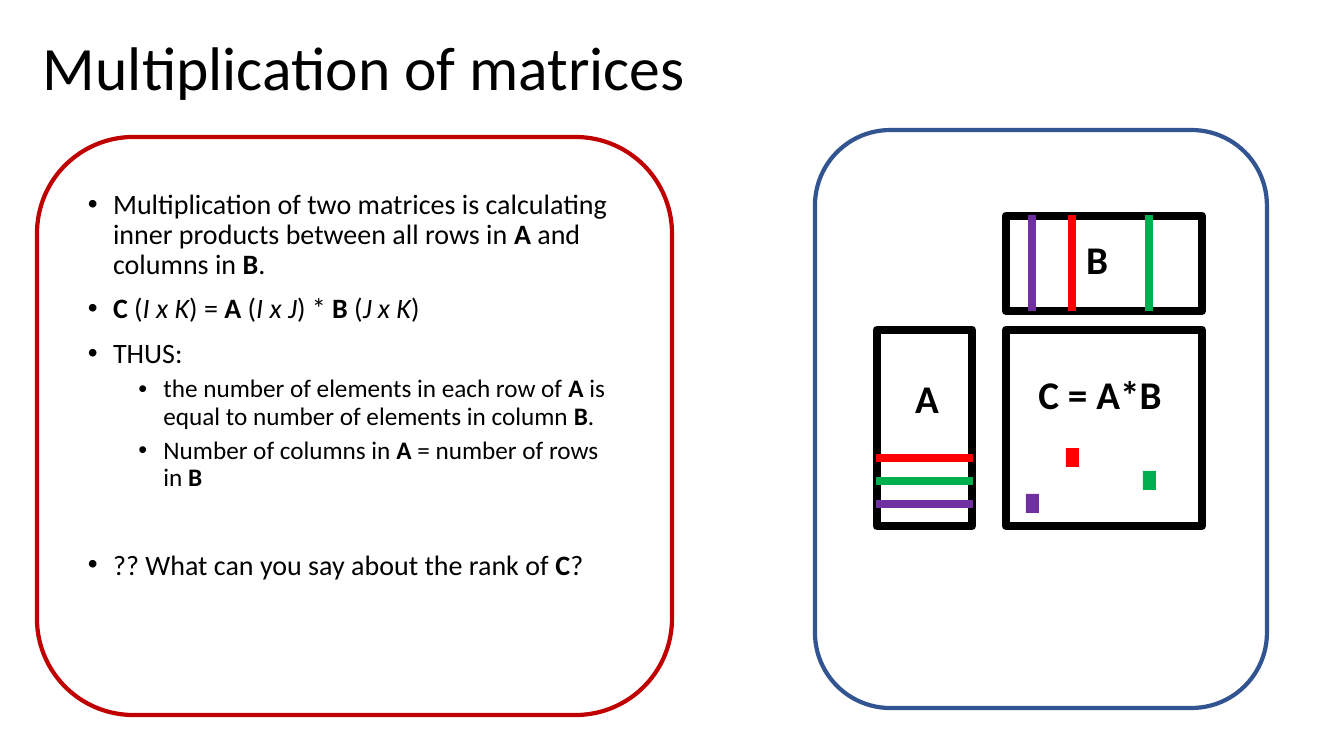
import pptx
import pptx.util
import pptx.dml.color
import pptx.enum.shapes
import pptx.enum.text
import pptx.oxml
import pptx.oxml.ns
import lxml.etree

RGB = pptx.dml.color.RGBColor
BLACK = RGB(0, 0, 0)
WHITE = RGB(255, 255, 255)
RED = RGB(0xFF, 0, 0)
GREEN = RGB(0, 0xB0, 0x50)
PURPLE = RGB(0x70, 0x30, 0xA0)
NAVY = RGB(0x32, 0x54, 0x91)
CRIMSON = RGB(0xC0, 0, 0)

PX = 914400 / 100.8
Pt = pptx.util.Pt
KIND = pptx.enum.shapes.MSO_SHAPE
ALIGN = pptx.enum.text.PP_ALIGN
ANCHOR = pptx.enum.text.MSO_ANCHOR
qn = pptx.oxml.ns.qn

deck = pptx.Presentation()
deck.slide_width = round(1344 * PX)
deck.slide_height = round(756 * PX)
slide = deck.slides.add_slide(deck.slide_layouts[6])


def shape(kind, box, fill=None, line=None, width=0):
    """Draw a preset shape; box is left, top, width, height in px."""
    item = slide.shapes.add_shape(kind, *[round(n * PX) for n in box])
    item.shadow.inherit = False
    if fill is None:
        item.fill.background()
    else:
        item.fill.solid()
        item.fill.fore_color.rgb = fill
    if line is None:
        item.line.fill.background()
    else:
        item.line.color.rgb = line
        item.line.width = Pt(width)


def text(box, anchor, paras):
    """Add a text box; each paragraph is size, align, runs of (words, style)."""
    frame = slide.shapes.add_textbox(*[round(n * PX) for n in box]).text_frame
    frame.word_wrap = True
    frame.vertical_anchor = anchor
    for i, (size, align, runs) in enumerate(paras):
        para = frame.paragraphs[0] if i == 0 else frame.add_paragraph()
        para.alignment = align
        for words, style in runs:
            run = para.add_run()
            run.text = words
            run.font.name = "Calibri"
            run.font.size = Pt(size)
            run.font.color.rgb = BLACK
            run.font.bold = style == "b"
            run.font.italic = style == "i"
    return frame


# Title
title = text((33, 24, 1159, 93), ANCHOR.MIDDLE,
             [(44, ALIGN.LEFT, [("Multiplication of matrices", "")])])
title.paragraphs[0].line_spacing = 0.9

# Bullets: level, space before, runs
points = [
    (0, 0, [("Multiplication of two matrices is calculating inner products "
             "between all rows in ", ""), ("A", "b"),
            (" and columns in ", ""), ("B", "b"), (".", "")]),
    (0, 10, [("C", "b"), (" (", ""), ("I x K", "i"), (") = ", ""),
             ("A", "b"), (" (", ""), ("I x J", "i"), (") * ", ""),
             ("B", "b"), (" (", ""), ("J x K", "i"), (")", "")]),
    (0, 10, [("THUS:", "")]),
    (1, 5, [("the number of elements in each row of ", ""), ("A", "b"),
            (" is equal to number of elements in column ", ""),
            ("B", "b"), (".", "")]),
    (1, 5, [("Number of columns in ", ""), ("A", "b"),
            (" = number of rows in ", ""), ("B", "b")]),
    (0, 42, [("?? What can you say about the rank of ", ""),
             ("C", "b"), ("?", "")]),
]
body = text((78, 185, 544, 480), ANCHOR.TOP,
            [(20 - 2 * level, ALIGN.LEFT, runs) for level, gap, runs in points])
for para, (level, gap, runs) in zip(body.paragraphs, points):
    props = para._p.get_or_add_pPr()
    props.set("marL", str(228600 + 457200 * level))
    props.set("indent", "-228600")
    font = lxml.etree.SubElement(props, qn("a:buFont"))
    font.set("typeface", "Arial")
    mark = lxml.etree.SubElement(props, qn("a:buChar"))
    mark.set("char", "•")
    para.level = level
    para.line_spacing = 0.9
    para.space_before = Pt(gap)

# Matrices: box, label, label centre
LONG, SHORT = 196, 95
matrices = [
    ((1006, 216, LONG, SHORT), "B", 1097, 259),
    ((877, 330, SHORT, LONG), "A", 927, 398),
    ((1006, 330, LONG, LONG), "C = A*B", 1100, 394),
]
for box, name, x, y in matrices:
    shape(KIND.RECTANGLE, box, WHITE, BLACK, 6)
    text((x - 90, y - 29, 180, 58), ANCHOR.MIDDLE,
         [(28, ALIGN.CENTER, [(name, "b")])])

# Each row of A meets a column of B in one element of C
for color, x, y in [(RED, 1072, 458), (GREEN, 1149, 481), (PURPLE, 1032, 504)]:
    for ends in [(x, 215, x, 311), (973, y, 876, y)]:
        bar = slide.shapes.add_connector(
            pptx.enum.shapes.MSO_CONNECTOR.STRAIGHT,
            *[round(n * PX) for n in ends])
        bar.line.color.rgb = color
        bar.line.width = Pt(6)
        lxml.etree.SubElement(bar._element.spPr, qn("a:effectLst"))
    shape(KIND.RECTANGLE, (x - 6, y - 10, 13, 19), color)

# Frames
shape(KIND.ROUNDED_RECTANGLE, (815, 130, 452, 578), None, NAVY, 3)
shape(KIND.ROUNDED_RECTANGLE, (37, 137, 635, 578), None, CRIMSON, 3)

deck.save("out.pptx")
